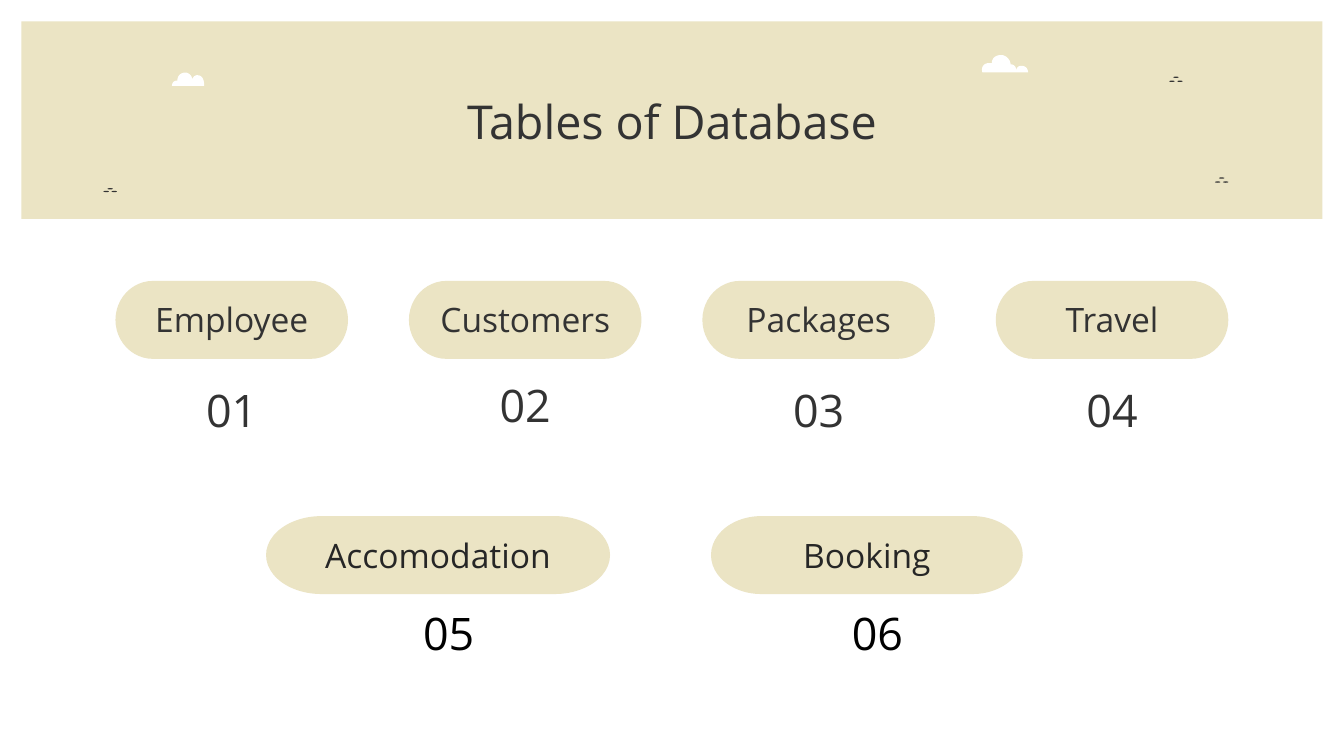
"""Build the slide that lists the six tables of the database."""
import pptx
import pptx.util
import pptx.dml.color
import pptx.enum.shapes
import pptx.enum.text
import pptx.oxml.ns
import lxml.etree

Inches = pptx.util.Inches
SHAPE = pptx.enum.shapes.MSO_SHAPE
ANCHOR = pptx.enum.text.MSO_ANCHOR
ALIGN = pptx.enum.text.PP_ALIGN

W = 10
H = W * 9 / 16
FONT = "Open Sans"
COLORS = {"sand": "EBE4C4", "text": "333333", "dark": "262626", "black": "000000", "white": "FFFFFF"}

TITLE = "Tables of Database"
TOP_ROW = [("Employee", "01", 2.79), ("Customers", "02", 2.75), ("Packages", "03", 2.79), ("Travel", "04", 2.79)]
BOTTOM_ROW = [("Accomodation", 1.98, 2.56, "05", 3.05), ("Booking", 5.29, 2.32, "06", 6.24)]
BIRDS = [(8.7, 0.57, 0.03), (0.77, 1.4, 0.02), (9.04, 1.32, 0.03)]
CLOUDS = [
    [(7.45, 0.41),
     (7.4, 0.41), (7.38, 0.44), (7.38, 0.47),
     (7.37, 0.47), (7.37, 0.47), (7.36, 0.47),
     (7.31, 0.47), (7.3, 0.51), (7.31, 0.54),
     (7.42, 0.54), (7.54, 0.54), (7.65, 0.54),
     (7.65, 0.51), (7.63, 0.49), (7.6, 0.49),
     (7.58, 0.49), (7.57, 0.5), (7.56, 0.52),
     (7.56, 0.5), (7.55, 0.48), (7.52, 0.48),
     (7.52, 0.45), (7.49, 0.41), (7.45, 0.41)],
    [(1.38, 0.54),
     (1.34, 0.54), (1.32, 0.57), (1.32, 0.6),
     (1.29, 0.6), (1.28, 0.62), (1.28, 0.64),
     (1.36, 0.64), (1.44, 0.64), (1.52, 0.64),
     (1.52, 0.6), (1.51, 0.56), (1.47, 0.56),
     (1.45, 0.56), (1.44, 0.57), (1.43, 0.59),
     (1.43, 0.56), (1.4, 0.54), (1.38, 0.54)],
]

MARGIN, PILL_W, PILL_H = 0.86, 1.73, 0.58
TOP_Y, LABEL_Y, LABEL_H = 2.09, 2.17, 0.41
BOTTOM_Y, BOTTOM_NUMBER_Y = 3.84, 4.46
NUMBER_H = 0.52
PITCH = (W - 2 * MARGIN - PILL_W) / (len(TOP_ROW) - 1)


def rgb(name):
    return pptx.dml.color.RGBColor.from_string(COLORS[name])


def paint(sp, color):
    sp.shadow.inherit = False
    sp.fill.solid()
    sp.fill.fore_color.rgb = rgb(color)
    sp.line.fill.background()
    return sp


def add_filled(shapes, kind, box, color):
    return paint(shapes.add_shape(kind, *map(Inches, box)), color)


def place(sp, box):
    sp.left, sp.top, sp.width, sp.height = map(Inches, box)


def write(sp, text, size, color, anchor=ANCHOR.MIDDLE, align=ALIGN.CENTER, wrap=True):
    tf = sp.text_frame
    tf.text = text
    tf.word_wrap = wrap
    tf.auto_size = pptx.enum.text.MSO_AUTO_SIZE.NONE
    tf.vertical_anchor = anchor
    tf.margin_left = tf.margin_right = tf.margin_top = tf.margin_bottom = Inches(0.1)
    p = tf.paragraphs[0]
    p.alignment = align
    p.space_before = pptx.util.Pt(0)
    font = p.runs[0].font
    font.name, font.size, font.bold = FONT, pptx.util.Pt(size), False
    font.color.rgb = rgb(color)


def remove_bullet(sp):
    pPr = sp.element.find(".//" + pptx.oxml.ns.qn("a:pPr"))
    pPr.set("marL", "0")
    pPr.set("indent", "0")
    lxml.etree.SubElement(pPr, pptx.oxml.ns.qn("a:buNone"))


def add_bird(s, x, y, drop):
    group = s.shapes.add_group_shape()
    for dx, dy in [(0, drop), (0.03, 0), (0.06, drop)]:
        add_filled(group.shapes, SHAPE.OVAL, (x + dx, y + dy, 0.04, 0.01), "text")


def add_cloud(s, points, steps=8):
    outline = []
    for i in range(0, len(points) - 1, 3):
        a, b, c, d = points[i:i + 4]
        for t in (n / steps for n in range(1, steps + 1)):
            weights = (1 - t) ** 3, 3 * t * (1 - t) ** 2, 3 * t ** 2 * (1 - t), t ** 3
            outline.append([Inches(sum(w * v for w, v in zip(weights, axis))) for axis in zip(a, b, c, d)])
    builder = s.shapes.build_freeform(*map(Inches, points[0]))
    builder.add_line_segments(outline, close=True)
    paint(builder.convert_to_shape(), "white")


def main():
    prs = pptx.Presentation()
    prs.slide_width, prs.slide_height = Inches(W), Inches(H)
    s = prs.slides.add_slide(prs.slide_layouts.get_by_name("Comparison"))
    title, *labels = list(s.placeholders)

    add_filled(s.shapes, SHAPE.RECTANGLE, (0.16, 0.16, W - 0.32, 1.47), "sand")
    for bird in BIRDS:
        add_bird(s, *bird)
    for cloud in CLOUDS:
        add_cloud(s, cloud)

    place(title, (0.78, 0.59, 8.44, 0.53))
    write(title, TITLE, 25, "text", ANCHOR.TOP)
    s.shapes.element.append(title.element)

    for i, (label, (name, number, number_y)) in enumerate(zip(labels, TOP_ROW)):
        x = MARGIN + i * PITCH
        add_filled(s.shapes, SHAPE.FLOWCHART_TERMINATOR, (x, TOP_Y, PILL_W, PILL_H), "sand")
        place(label, (x, LABEL_Y, PILL_W, LABEL_H))
        write(label, name, 18, "text")
        remove_bullet(label)
        s.shapes.element.append(label.element)
        box = s.shapes.add_textbox(*map(Inches, (x, number_y, PILL_W, NUMBER_H)))
        write(box, number, 24, "text")

    for name, x, width, number, number_x in BOTTOM_ROW:
        pill = add_filled(s.shapes, SHAPE.FLOWCHART_TERMINATOR, (x, BOTTOM_Y, width, PILL_H), "sand")
        write(pill, name, 18, "dark")
        box = s.shapes.add_textbox(*map(Inches, (number_x, BOTTOM_NUMBER_Y, 0.6, 0.5)))
        write(box, number, 24, "black", align=ALIGN.LEFT, wrap=False)

    prs.save("out.pptx")


if __name__ == "__main__":
    main()
